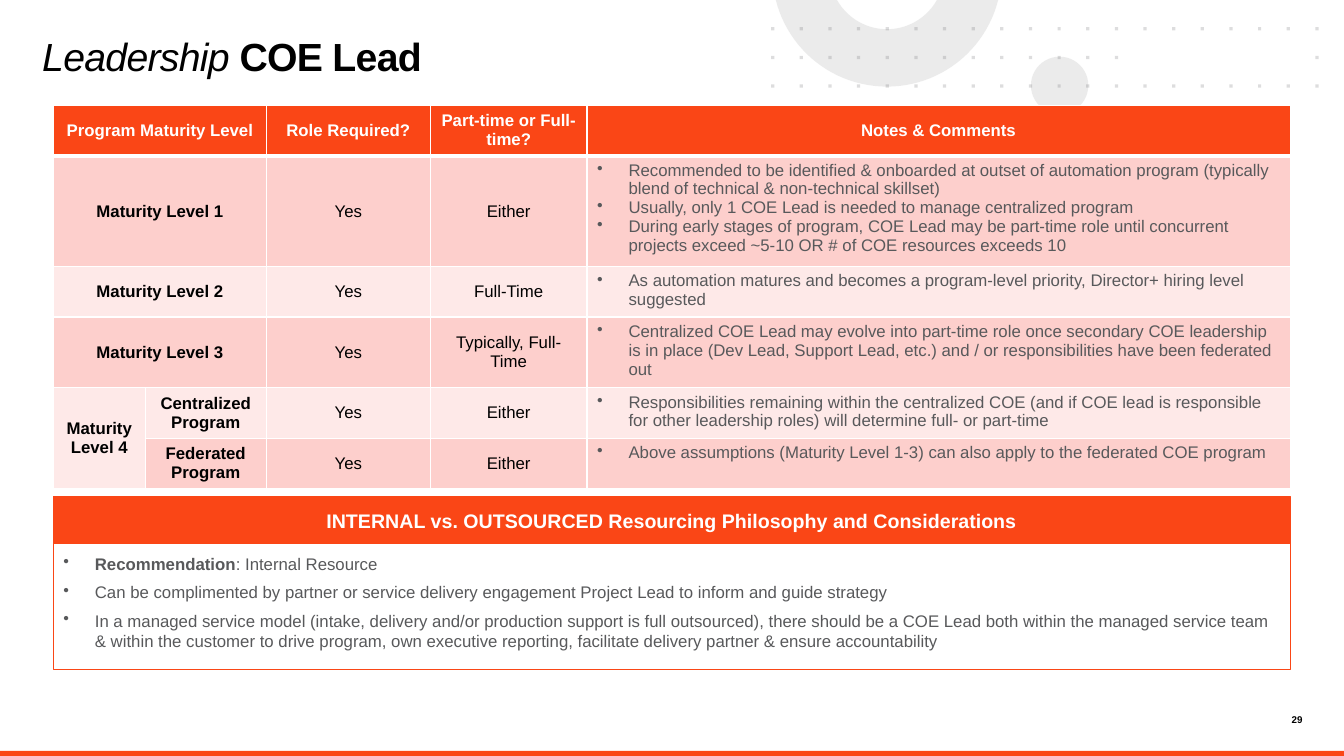
import math
from lxml import etree
from pptx import Presentation
from pptx.dml.color import RGBColor
from pptx.enum.shapes import MSO_SHAPE
from pptx.enum.text import MSO_ANCHOR, PP_ALIGN
from pptx.oxml.ns import qn
from pptx.util import Pt

RECTANGLE, OVAL = MSO_SHAPE.RECTANGLE, MSO_SHAPE.OVAL
TOP, MIDDLE = MSO_ANCHOR.TOP, MSO_ANCHOR.MIDDLE
LEFT, CENTER, RIGHT = PP_ALIGN.LEFT, PP_ALIGN.CENTER, PP_ALIGN.RIGHT

ORANGE = RGBColor(0xFA, 0x46, 0x16)
DARK_PINK = RGBColor(0xFD, 0xCF, 0xCC)
LIGHT_PINK = RGBColor(0xFE, 0xE9, 0xE8)
WHITE = RGBColor(0xFF, 0xFF, 0xFF)
BLACK = RGBColor(0, 0, 0)
GREY = RGBColor(0x58, 0x59, 0x5B)
PALE_GREY = RGBColor(0xD9, 0xD9, 0xD9)


def paint(shape, color, opacity=100, outline=None):
    shape.shadow.inherit = False
    shape.fill.solid()
    shape.fill.fore_color.rgb = color
    if opacity < 100:
        srgb = shape.fill._xPr.find(qn("a:solidFill"))[0]
        etree.SubElement(srgb, qn("a:alpha")).set("val", str(opacity * 1000))
    if outline is None:
        shape.line.fill.background()
    else:
        shape.line.color.rgb = outline
        shape.line.width = Pt(0.75)


def write(frame, paragraphs, size, color, bold=False, align=LEFT, bullet=False, after=0):
    """Fill a text frame; each paragraph is a list of its runs."""
    frame.word_wrap = True
    for index, runs in enumerate(paragraphs):
        paragraph = frame.paragraphs[0] if index == 0 else frame.add_paragraph()
        for words in runs:
            paragraph.add_run().text = words
        paragraph.alignment = align
        paragraph.space_after = Pt(after)
        if bullet:
            properties = paragraph._p.get_or_add_pPr()
            properties.set("marL", str(Pt(22.5)))
            properties.set("indent", str(-Pt(22.5)))
            etree.SubElement(properties, qn("a:buChar")).set("char", "•")
        font = paragraph.font
        font.name, font.size, font.bold = "Arial", Pt(size), bold
        font.color.rgb = color


prs = Presentation()
prs.slide_width, prs.slide_height = Pt(960), Pt(540)
slide = prs.slides.add_slide(prs.slide_layouts[6])
shapes = slide.shapes

# Header decoration: disc, clipped ring and dot grid
footer_bar = shapes.add_shape(RECTANGLE, 0, Pt(536.4), Pt(960), Pt(3.6))
paint(footer_bar, ORANGE)
disc = shapes.add_shape(OVAL, Pt(736.4), Pt(40.5), Pt(41), Pt(41))
paint(disc, PALE_GREY, 50)

RING_X, RING_Y = 633.6, -20
ARC_STEPS = 48
ring_points = []
for radius, direction in ((81.9, 1), (40.9, -1)):
    start = math.asin(-RING_Y / radius)
    sweep = math.pi - 2 * start
    arc = [(Pt(RING_X + radius * math.cos(start + sweep * step / ARC_STEPS)),
            Pt(RING_Y + radius * math.sin(start + sweep * step / ARC_STEPS)))
           for step in range(ARC_STEPS + 1)]
    ring_points += arc[::direction]
ring_builder = shapes.build_freeform(*ring_points[0])
ring_builder.add_line_segments(ring_points[1:])
paint(ring_builder.convert_to_shape(), PALE_GREY, 50)

DOT, DOT_PITCH = 2.3, 20.46
DOT_GAP = range(13, 19)  # columns without a dot in the middle row
for columns in (range(0, 6), range(6, 12), range(12, 14), range(14, 20)):
    dots = None
    for row in range(3):
        for column in columns:
            if row == 1 and column in DOT_GAP:
                continue
            x, y = 550.8 + column * DOT_PITCH, 19.4 + row * DOT_PITCH
            if dots is None:
                dots = shapes.build_freeform(Pt(x), Pt(y))
            else:
                dots.move_to(Pt(x), Pt(y))
            dots.add_line_segments([(Pt(x + DOT), Pt(y)), (Pt(x + DOT), Pt(y + DOT)),
                                    (Pt(x), Pt(y + DOT))])
    paint(dots.convert_to_shape(), GREY, 20)

# Title and page number
title = shapes.add_textbox(Pt(30.2), Pt(28.1), Pt(520.6), Pt(54)).text_frame
page_number = shapes.add_textbox(Pt(902.2), Pt(509.8), Pt(28.1), Pt(9.4)).text_frame
for frame in (title, page_number):
    frame.margin_left = frame.margin_right = frame.margin_top = frame.margin_bottom = 0
write(title, [["Leadership ", "COE Lead"]], 28, BLACK)
title.paragraphs[0].line_spacing = 0.85
topic, role = title.paragraphs[0].runs
topic.font.italic = True
role.font.bold = True
for run in (topic, role):
    run._r.get_or_add_rPr().set("spc", "-50")
write(page_number, [["29"]], 7, BLACK, bold=True, align=RIGHT)

# Maturity table
MATURITY_ROWS = [
    ("Program Maturity Level", "", "Role Required?", "Part-time or Full-time?", ["Notes & Comments"]),
    ("Maturity Level 1", "", "Yes", "Either", [
        "Recommended to be identified & onboarded at outset of automation program "
        "(typically blend of technical & non-technical skillset)",
        "Usually, only 1 COE Lead is needed to manage centralized program",
        "During early stages of program, COE Lead may be part-time role until concurrent "
        "projects exceed ~5-10 OR # of COE resources exceeds 10"]),
    ("Maturity Level 2", "", "Yes", "Full-Time", [
        "As automation matures and becomes a program-level priority, Director+ hiring level suggested"]),
    ("Maturity Level 3", "", "Yes", "Typically, Full-Time", [
        "Centralized COE Lead may evolve into part-time role once secondary COE leadership is in place "
        "(Dev Lead, Support Lead, etc.) and / or responsibilities have been federated out"]),
    ("Maturity Level 4", "Centralized Program", "Yes", "Either", [
        "Responsibilities remaining within the centralized COE (and if COE lead is responsible "
        "for other leadership roles) will determine full- or part-time"]),
    ("", "Federated Program", "Yes", "Either", [
        "Above assumptions (Maturity Level 1-3) can also apply to the federated COE program"]),
]
COLUMN_WIDTHS = (65.5, 86.6, 117.2, 111.8, 502.3)
ROW_HEIGHTS = (33.9, 74.3, 33.9, 47.8, 33.9, 33.9)
NOTES = 4

maturity = shapes.add_table(len(ROW_HEIGHTS), len(COLUMN_WIDTHS), Pt(38.2), Pt(75.2),
                            Pt(sum(COLUMN_WIDTHS)), Pt(sum(ROW_HEIGHTS))).table
for column, width in zip(maturity.columns, COLUMN_WIDTHS):
    column.width = Pt(width)
for row, height in zip(maturity.rows, ROW_HEIGHTS):
    row.height = Pt(height)
for r in range(4):
    maturity.cell(r, 0).merge(maturity.cell(r, 1))
maturity.cell(4, 0).merge(maturity.cell(5, 0))

for r, entries in enumerate(MATURITY_ROWS):
    band = ORANGE if r == 0 else DARK_PINK if r % 2 else LIGHT_PINK
    for c, entry in enumerate(entries):
        cell = maturity.cell(r, c)
        cell.fill.solid()
        cell.fill.fore_color.rgb = band
        edges = (("lnL", 1), ("lnR", 1), ("lnT", 3 if r == 1 else 1), ("lnB", 3 if r == 0 else 1))
        for position, (edge, weight) in enumerate(edges):
            border = etree.Element(qn("a:" + edge), w=str(Pt(weight)))
            border_fill = etree.SubElement(border, qn("a:solidFill"))
            etree.SubElement(border_fill, qn("a:srgbClr")).set("val", str(WHITE))
            cell._tc.get_or_add_tcPr().insert(position, border)
        if not entry:
            continue
        is_note = r > 0 and c == NOTES
        cell.vertical_anchor = TOP if is_note else MIDDLE
        paragraphs = [[words] for words in entry] if c == NOTES else [[entry]]
        write(cell.text_frame, paragraphs, 12,
              WHITE if r == 0 else GREY if is_note else BLACK,
              bold=r == 0 or c < 2, align=LEFT if is_note else CENTER, bullet=is_note)

# Resourcing panel
considerations = shapes.add_shape(RECTANGLE, Pt(38.2), Pt(388.1), Pt(883.4), Pt(90.4))
paint(considerations, WHITE, outline=ORANGE)
heading = shapes.add_shape(RECTANGLE, Pt(38.2), Pt(355), Pt(883.4), Pt(33.1))
paint(heading, ORANGE, outline=ORANGE)
for panel, anchor in ((considerations, TOP), (heading, MIDDLE)):
    frame = panel.text_frame
    frame.margin_left = frame.margin_right = frame.margin_top = frame.margin_bottom = Pt(7.2)
    frame.vertical_anchor = anchor
write(considerations.text_frame, [
    ["Recommendation", ": Internal Resource"],
    ["Can be complimented by partner or service delivery engagement Project Lead to inform and guide strategy"],
    ["In a managed service model (intake, delivery and/or production support is full outsourced), there should "
     "be a COE Lead both within the managed service team & within the customer to drive program, own executive "
     "reporting, facilitate delivery partner & ensure accountability"],
], 12, GREY, bullet=True, after=6)
considerations.text_frame.paragraphs[0].runs[0].font.bold = True
write(heading.text_frame, [["INTERNAL vs. OUTSOURCED Resourcing Philosophy and Considerations"]],
      14, WHITE, bold=True, align=CENTER, after=6)

prs.save("out.pptx")
